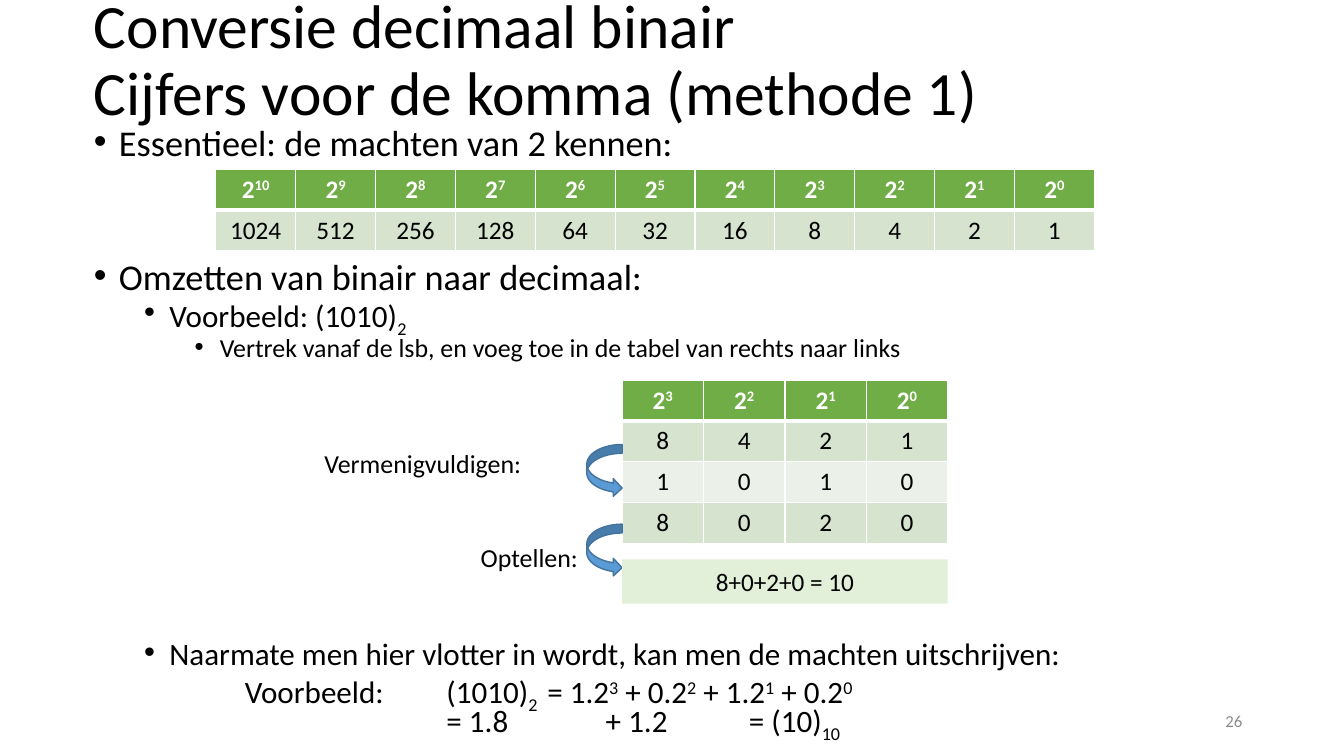
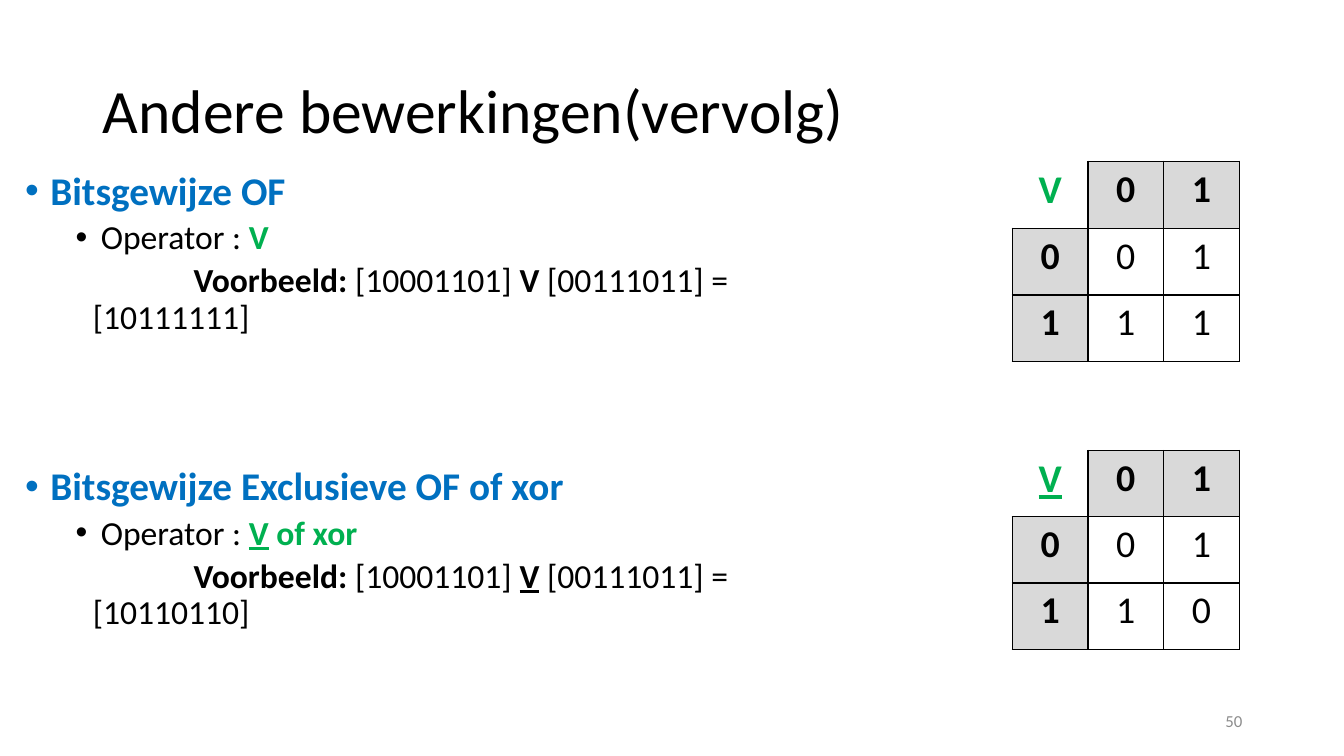
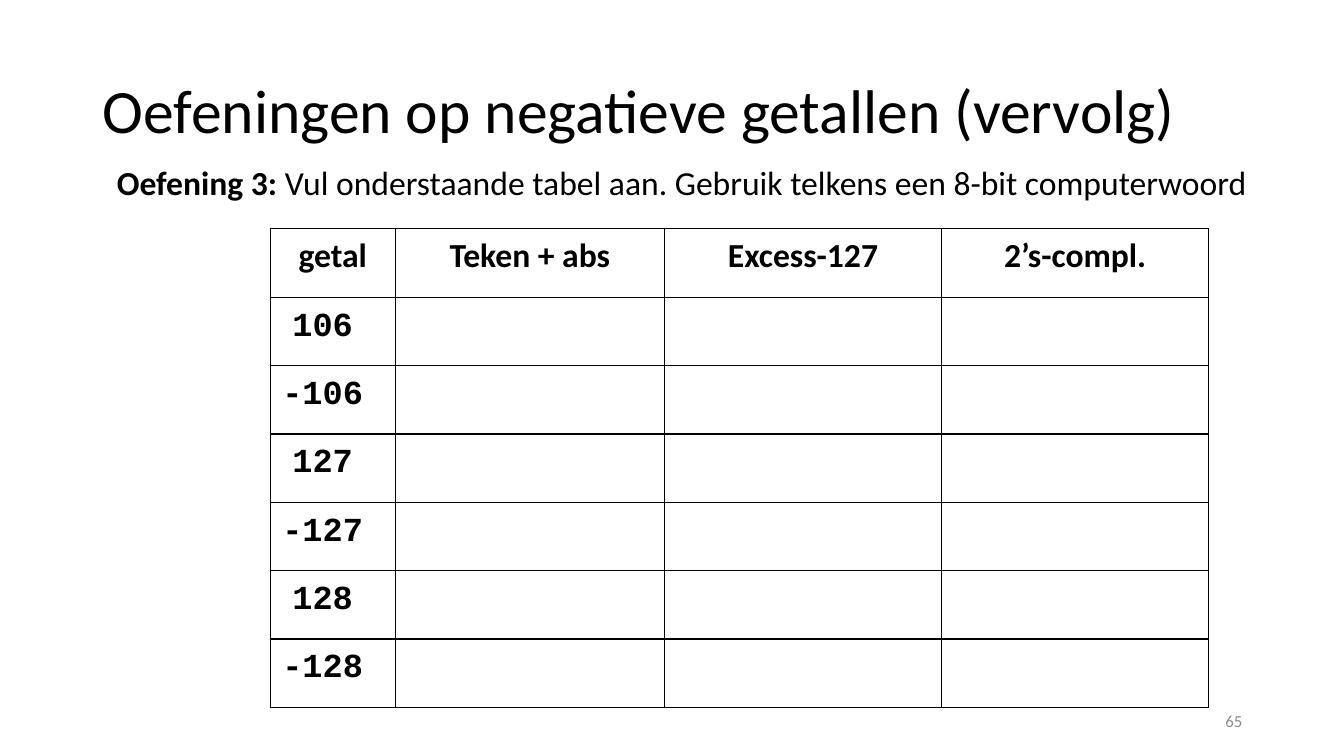
from dataclasses import dataclass

from lxml.etree import SubElement
from pptx import Presentation
from pptx.dml.color import RGBColor
from pptx.enum.shapes import MSO_SHAPE
from pptx.enum.text import MSO_ANCHOR, MSO_AUTO_SIZE, PP_ALIGN
from pptx.oxml.ns import qn
from pptx.util import Pt

SCALE = 9144  # EMU in one px, 100 px to the inch
LEFT, MID, RIGHT = PP_ALIGN.LEFT, PP_ALIGN.CENTER, PP_ALIGN.RIGHT


def px(*nums):
    return [round(n * SCALE) for n in nums]


@dataclass(frozen=True)
class Theme:
    font: str = "Calibri"
    mono: str = "Courier New"
    black: str = "000000"
    white: str = "FFFFFF"
    grey: str = "8C8C8C"
    shade: str = "D9D9D9"
    head: str = "70AD47"
    band: str = "D5E3CF"
    pale: str = "EBF1E9"
    total: str = "E2F0D9"
    arrow: str = "5B9BD5"
    rim: str = "43739E"
    blue: str = "0070C0"
    green: str = "00B050"
    title: int = 44
    lead: int = 28
    digit: int = 27
    large: float = 25.9
    text: int = 24
    sub: float = 22.2
    note: float = 18.5
    cell: int = 18
    foot: int = 12


T = Theme()
UP, LOW = {"base": 30}, {"base": -25}
BOLD = {"bold": True}
SIGN = {"bold": True, "color": T.green}


class Deck:
    """Holds the presentation and the slide being filled."""

    def __init__(self):
        self.file = Presentation()
        self.file.slide_width, self.file.slide_height = px(1333, 750)

    def slide(self, title, number, at, layout):
        self.page = self.file.slides.add_slide(self.file.slide_layouts[layout])
        frame = self.place(self.page.shapes.title, at)
        frame.vertical_anchor = MSO_ANCHOR.MIDDLE
        self.para(frame, [title], size=T.title, lines=0.9)
        self.label([str(number)], (942, 695, 300, 40), align=RIGHT,
                   size=T.foot, color=T.grey)

    def place(self, shape, at):
        shape.left, shape.top, shape.width, shape.height = px(*at)
        frame = shape.text_frame
        frame.word_wrap = True
        frame.auto_size = MSO_AUTO_SIZE.NONE
        return frame

    def body(self, at):
        return self.place(self.page.placeholders[1], at)

    def run(self, par, text, size=T.cell, color=T.black, bold=False,
            line=False, base=0, font=T.font):
        run = par.add_run()
        run.text = text
        run.font.name, run.font.size = font, Pt(size)
        run.font.bold, run.font.underline = bold, line
        run.font.color.rgb = RGBColor.from_string(color)
        if base:
            run._r.get_or_add_rPr().set("baseline", str(base * 1000))

    def para(self, frame, runs, level=0, lines=1.0, before=0, after=0,
             align=LEFT, margin=0, first=0, bullet=False, **style):
        """Add a paragraph; each run is a text or a (text, style) pair."""
        par = frame.paragraphs[0]
        if par.runs:
            par = frame.add_paragraph()
        par.level, par.alignment, par.line_spacing = level, align, lines
        par.space_before, par.space_after = Pt(before), Pt(after)
        props = par._p.get_or_add_pPr()
        for key, num in zip(("marL", "indent"), px(margin, first)):
            props.set(key, str(num))
        if bullet:
            SubElement(props, qn("a:buFont"), typeface="Arial")
            SubElement(props, qn("a:buChar"), char="•")
        else:
            SubElement(props, qn("a:buNone"))
        for item in runs:
            text, extra = (item, {}) if isinstance(item, str) else item
            for num, part in enumerate(text.split("\n")):
                if num:
                    par.add_line_break()
                self.run(par, part, **{**style, **extra})

    def item(self, frame, runs, level=0, **style):
        """Add a bullet with the hanging indent of its level."""
        self.para(frame, runs, level=level, margin=25 + 50 * level,
                  first=-25, bullet=True, **style)

    def label(self, runs, at, anchor=MSO_ANCHOR.MIDDLE, **style):
        frame = self.place(self.page.shapes.add_textbox(*px(*at)), at)
        frame.vertical_anchor = anchor
        self.para(frame, runs, **style)

    def shape(self, kind, at, fill, rim=None):
        shape = self.page.shapes.add_shape(kind, *px(*at))
        shape.shadow.inherit = False
        shape.fill.solid()
        shape.fill.fore_color.rgb = RGBColor.from_string(fill)
        if rim:
            shape.line.color.rgb = RGBColor.from_string(rim)
            shape.line.width = Pt(1)
        else:
            shape.line.fill.background()
        return shape

    def edges(self, cell, color, widths):
        """Draw left, right, top and bottom borders; width 0 hides one."""
        props = cell._tc.get_or_add_tcPr()
        for num, (side, width) in enumerate(zip("LRTB", widths)):
            line = SubElement(props, qn("a:ln" + side), w=str(Pt(width)))
            if width:
                fill = SubElement(line, qn("a:solidFill"))
                SubElement(fill, qn("a:srgbClr"), val=color)
            else:
                SubElement(line, qn("a:noFill"))
            props.insert(num, line)

    def table(self, left, top, cols, high, rows, look):
        """Fill a grid; look(row, col) gives fill, edge, widths and style."""
        at = px(left, top, sum(cols), high * len(rows))
        grid = self.page.shapes.add_table(len(rows), len(cols), *at).table
        grid.first_row = grid.horz_banding = False
        for col, wide in zip(grid.columns, px(*cols)):
            col.width = wide
        for r, row in enumerate(rows):
            grid.rows[r].height = px(high)[0]
            for c, runs in enumerate(row):
                cell = grid.cell(r, c)
                fill, edge, widths, style = look(r, c)
                if fill:
                    cell.fill.solid()
                    cell.fill.fore_color.rgb = RGBColor.from_string(fill)
                else:
                    cell.fill.background()
                self.edges(cell, edge, widths)
                if runs:
                    self.para(cell.text_frame, runs, align=MID, **style)
        return grid


def power(num):
    return ["2", (str(num), UP)]


def powers(top):
    """Give a row of powers of two and a row of their values."""
    nums = range(top, -1, -1)
    return [[power(n) for n in nums], [[str(2 ** n)] for n in nums]]


def banded(r, c):
    if r == 0:
        return T.head, T.white, (1, 1, 1, 3), {"color": T.white, "bold": True}
    fill = T.band if r % 2 else T.pale
    return fill, T.white, (1, 1, 3 if r == 1 else 1, 1), {}


def truth(r, c):
    if r == c == 0:
        return None, T.black, (0, 1, 0, 1), {"size": T.lead, **SIGN}
    head = r == 0 or c == 0
    return (T.shade if head else None, T.black, (1, 1, 1, 1),
            {"size": T.digit, "bold": head})


def blank(r, c):
    style = {"size": T.text, "bold": True}
    if r:
        style.update(font=T.mono, lines=1.15, after=10)
    return (None if r else T.white), T.black, (1, 1, 1, 1), style


def worked(deck):
    """Set the two lines of the worked example in columns."""
    terms = ["= 1.2", ("3", UP)]
    for factor, num in ((0, 2), (1, 1), (0, 0)):
        terms += [f" + {factor}.2", (str(num), UP)]
    lines = (
        (662, ((233, ["Voorbeeld:"]), (433, ["(1010)", ("2", LOW)]),
               (533, terms))),
        (691, ((433, ["= 1.8"]), (591, ["+ 1.2"]),
               (733, ["= (10)", ("10", LOW)]))),
    )
    for top, parts in lines:
        for left, runs in parts:
            wide = 360 if runs is terms else 170
            deck.label(runs, (left, top, wide, 48), MSO_ANCHOR.TOP,
                       size=T.sub)


def convert(deck):
    deck.slide("Conversie decimaal binair\nCijfers voor de komma (methode 1)",
               26, (83, -11, 1150, 145), 1)
    body = deck.body((83, 126, 1250, 624))
    big = {"size": T.large, "lines": 0.7}
    sub = {"size": T.sub, "lines": 0.7}
    deck.item(body, ["Essentieel: de machten van 2 kennen:"], **big)
    deck.item(body, ["Omzetten van binair naar decimaal:"], before=74, **big)
    deck.item(body, ["Voorbeeld: (1010)", ("2", LOW)], 1, before=5, **sub)
    deck.item(body, ["Vertrek vanaf de lsb, en voeg toe in de tabel "
                     "van rechts naar links"], 2, before=5, size=T.note,
              lines=0.7)
    deck.item(body, ["Naarmate men hier vlotter in wordt, kan men de "
                     "machten uitschrijven:"], 1, before=202, **sub)
    worked(deck)

    deck.table(214, 168, [79.25] * 11, 40, powers(10), banded)
    bits = [[[d] for d in row] for row in ("1010", "8020")]
    deck.table(617, 377, [80.75] * 4, 40.5, powers(3) + bits, banded)
    for top in (441, 520):
        deck.shape(MSO_SHAPE.CURVED_RIGHT_ARROW, (582, top, 35, 52),
                   T.arrow, T.rim)
    deck.label(["Vermenigvuldigen:"], (312, 439, 230, 40), size=T.note)
    deck.label(["Optellen:"], (467, 533, 140, 40), size=T.note)
    total = deck.shape(MSO_SHAPE.RECTANGLE, (617, 555, 323, 44), T.total)
    total.text_frame.vertical_anchor = MSO_ANCHOR.MIDDLE
    deck.para(total.text_frame, ["8+0+2+0 = 10"], align=MID)


def bitwise(deck):
    deck.slide("Andere bewerkingen(vervolg)", 50, (92, 40, 1150, 145), 1)
    body = deck.body((15, 165, 877, 585))
    cases = (
        ("Bitsgewijze OF", "", False, "10111111", 160, 66.3, "1", 0),
        ("Bitsgewijze Exclusieve OF of xor", " of xor", True, "10110110",
         447, 65.7, "0", 93),
    )
    for name, alias, line, result, top, high, last, gap in cases:
        mark = {"line": line}
        text = {"size": T.text, "lines": 0.9, "before": 5}
        deck.item(body, [name], size=T.lead, color=T.blue, bold=True,
                  lines=0.9, before=gap)
        operator = ["Operator : ", ("V", {**SIGN, **mark})]
        if alias:
            operator.append((alias, SIGN))
        deck.item(body, operator, 1, **text)
        deck.para(body, [("Voorbeeld: ", BOLD), "[10001101] ",
                         ("V", {**BOLD, **mark}),
                         f" [00111011] = [{result}]"],
                  1, margin=67, first=100, **text)
        rows = [[[("V", mark)], ["0"], ["1"]], [["0"], ["0"], ["1"]],
                [["1"], ["1"], [last]]]
        deck.table(1004, top, [75] * 3, high, rows, truth)


def drill(deck):
    deck.slide("Oefeningen op negatieve getallen (vervolg)", 65,
               (92, 40, 1150, 145), 5)
    deck.label([("Oefening 3: ", BOLD),
                "Vul onderstaande tabel aan. Gebruik telkens een "
                "8-bit computerwoord"],
               (106, 160, 1185, 50), MSO_ANCHOR.TOP,
               size=T.text, lines=0.9, margin=25, first=-25)
    heads = ("getal", "Teken + abs", "Excess-127", "2’s-compl.")
    rows = [[[name] for name in heads]]
    for num in (106, 127, 128):
        rows += [[[f"{n} "], None, None, None] for n in (num, -num)]
    grid = deck.table(268, 227, (124, 267, 275, 265), 67.86, rows, blank)
    for cell in grid.rows[0].cells:
        cell.margin_left = cell.margin_right = px(13)[0]
        cell.margin_top = cell.margin_bottom = px(7)[0]


def main():
    deck = Deck()
    for build in (convert, bitwise, drill):
        build(deck)
    deck.file.save("out.pptx")


if __name__ == "__main__":
    main()
